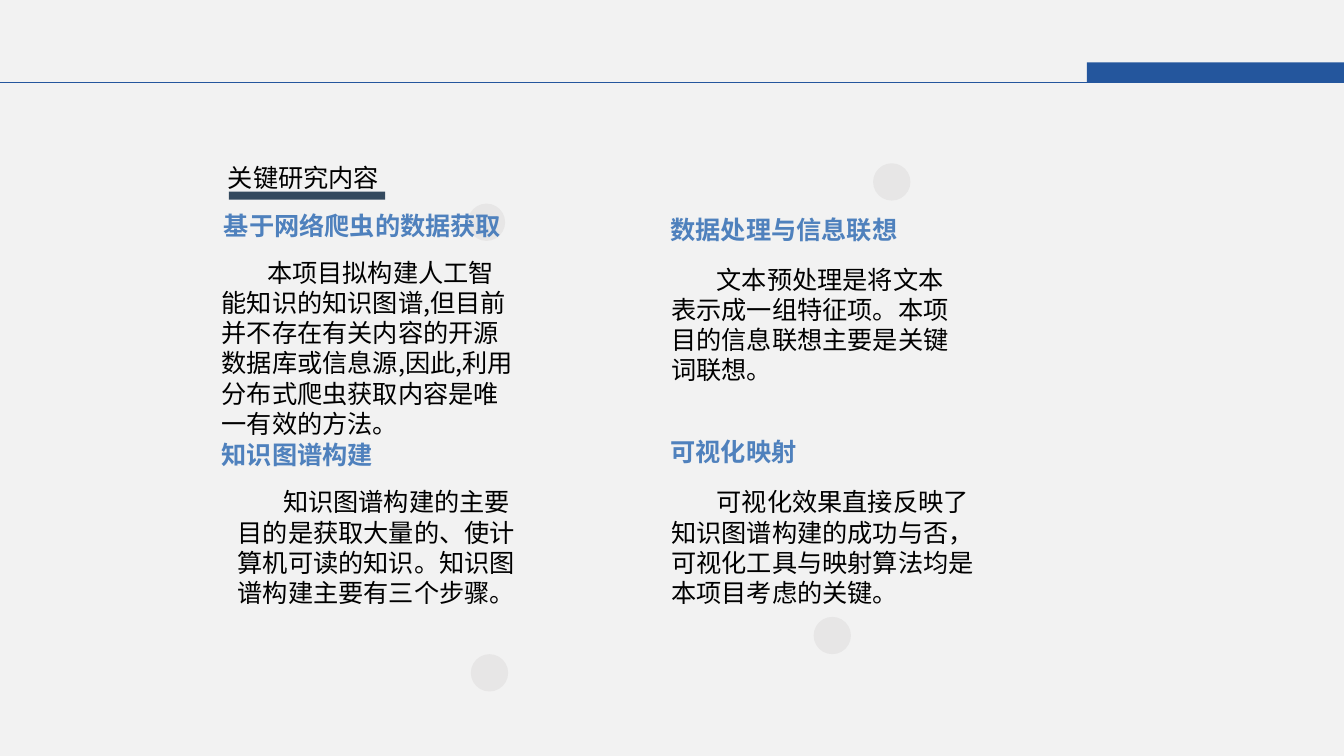
"""Build the slide on key research topics: four headed notes in two columns."""
from dataclasses import dataclass

from lxml.etree import SubElement
from pptx import Presentation
from pptx.dml.color import RGBColor
from pptx.enum.shapes import MSO_CONNECTOR, MSO_SHAPE
from pptx.enum.text import MSO_ANCHOR, PP_ALIGN
from pptx.oxml.ns import qn
from pptx.util import Inches, Pt


@dataclass(frozen=True)
class Theme:
    """Colours, fonts and type size of the slide."""
    back: str = "F2F2F2"
    band: str = "24569D"
    bar: str = "34495E"
    dot: str = "E7E6E6"
    head: str = "4F81BD"
    ink: str = "000000"
    cjk: str = "Noto Sans CJK SC"
    latin: str = "Arial"
    size: int = 18


T = Theme()
WIDTH, HEIGHT = 13.33, 7.5
COLS, ROWS = (2.2, 6.65), (2.1, 4.3)
HEAD_SIZE = (3.14, 0.35)
BODY_SHIFT = (-0.09, 0.48)
INDENT = 0.45
DOT = 0.37
RULE_TOP = 0.82

TITLE = "关键研究内容"
FLUSH = dict(ins=(0, 0, 0.39, 0), anchor=MSO_ANCHOR.MIDDLE)
SNUG = dict(ins=(0.07, 0.04, 0.07, 0.04), wrap=False, spacing=1.25)
NOTES = [
    dict(col=0, row=0, font=T.cjk,
         head="基于网络爬虫的数据获取", head_nudge=(-0.05, -0.13),
         head_size=(2.95, 0.37), style=SNUG,
         body="本项目拟构建人工智能知识的知识图谱,但目前并不存在有关内容的开源数据库"
              "或信息源,因此,利用分布式爬虫获取内容是唯一有效的方法。",
         body_nudge=(-0.01, -0.08), body_size=(3.12, 1.73)),
    dict(col=0, row=1, font=T.cjk,
         head="知识图谱构建", style=dict(FLUSH, spacing=1.25),
         body="知识图谱构建的主要目的是获取大量的、使计算机可读的知识。"
              "知识图谱构建主要有三个步骤。",
         body_nudge=(0.15, 0), body_size=(2.97, 1.6)),
    dict(col=1, row=0, font=T.cjk,
         head="数据处理与信息联想", style=FLUSH,
         body="文本预处理是将文本表示成一组特征项。本项目的信息联想主要是关键词联想。",
         body_nudge=(0, -0.01), body_size=(2.97, 1.24)),
    dict(col=1, row=1, font=T.latin,
         head="可视化映射", style=FLUSH,
         body="可视化效果直接反映了知识图谱构建的成功与否，"
              "可视化工具与映射算法均是本项目考虑的关键。",
         body_size=(3.23, 1.34)),
]
DOTS = [(8.07, 6.12), (4.67, 6.49), (4.64, 2.02), (8.66, 1.62)]


def add_text(s, text, box, font=T.cjk, color=T.ink, bold=False,
             ins=(0.1, 0.05, 0.1, 0.05), anchor=MSO_ANCHOR.TOP,
             align=PP_ALIGN.LEFT, spacing=None, wrap=True, indent=0):
    tf = s.shapes.add_textbox(*map(Inches, box)).text_frame
    tf.word_wrap, tf.vertical_anchor = wrap, anchor
    tf.margin_left, tf.margin_top, tf.margin_right, tf.margin_bottom = map(Inches, ins)
    p = tf.paragraphs[0]
    p.alignment = align
    if spacing:
        p.line_spacing = spacing
    if indent:
        p._p.get_or_add_pPr().set("indent", str(Inches(indent)))
    r = p.add_run()
    r.text = text
    r.font.name, r.font.size, r.font.bold = font, Pt(T.size), bold
    r.font.color.rgb = RGBColor.from_string(color)
    SubElement(r._r.get_or_add_rPr(), qn("a:ea")).set("typeface", T.cjk)


def add_block(s, kind, box, color):
    sp = s.shapes.add_shape(kind, *map(Inches, box))
    sp.shadow.inherit = False
    sp.fill.solid()
    sp.fill.fore_color.rgb = RGBColor.from_string(color)
    sp.line.fill.background()


def add_rule(s, top):
    cn = s.shapes.add_connector(MSO_CONNECTOR.STRAIGHT, 0, Inches(top),
                                Inches(WIDTH), Inches(top))
    cn.line.color.rgb = RGBColor.from_string(T.band)
    cn.line.width = Pt(0.75)
    SubElement(cn._element.spPr, qn("a:effectLst"))


def add_note(s, note):
    cell = COLS[note["col"]], ROWS[note["row"]]
    head_at = [a + b for a, b in zip(cell, note.get("head_nudge", (0, 0)))]
    body_at = [a + b + c for a, b, c in
               zip(cell, BODY_SHIFT, note.get("body_nudge", (0, 0)))]
    add_text(s, note["body"], (*body_at, *note["body_size"]),
             font=note["font"], indent=INDENT)
    add_text(s, note["head"], (*head_at, *note.get("head_size", HEAD_SIZE)),
             font=note["font"], color=T.head, bold=True, **note["style"])


def main():
    prs = Presentation()
    prs.slide_width, prs.slide_height = Inches(WIDTH), Inches(HEIGHT)
    s = prs.slides.add_slide(prs.slide_layouts[6])
    s.background.fill.solid()
    s.background.fill.fore_color.rgb = RGBColor.from_string(T.back)

    add_block(s, MSO_SHAPE.RECTANGLE, (10.78, RULE_TOP - 0.2, WIDTH - 10.78, 0.2), T.band)
    add_rule(s, RULE_TOP)
    for at in DOTS:
        add_block(s, MSO_SHAPE.OVAL, (*at, DOT, DOT), T.dot)
    for note in NOTES:
        add_note(s, note)
    add_text(s, TITLE, (2.15, 1.5, 1.68, 0.44), font=T.latin,
             align=PP_ALIGN.RIGHT, **SNUG)
    add_block(s, MSO_SHAPE.RECTANGLE, (2.27, 1.9, 1.55, 0.08), T.bar)
    prs.save("out.pptx")


if __name__ == "__main__":
    main()
